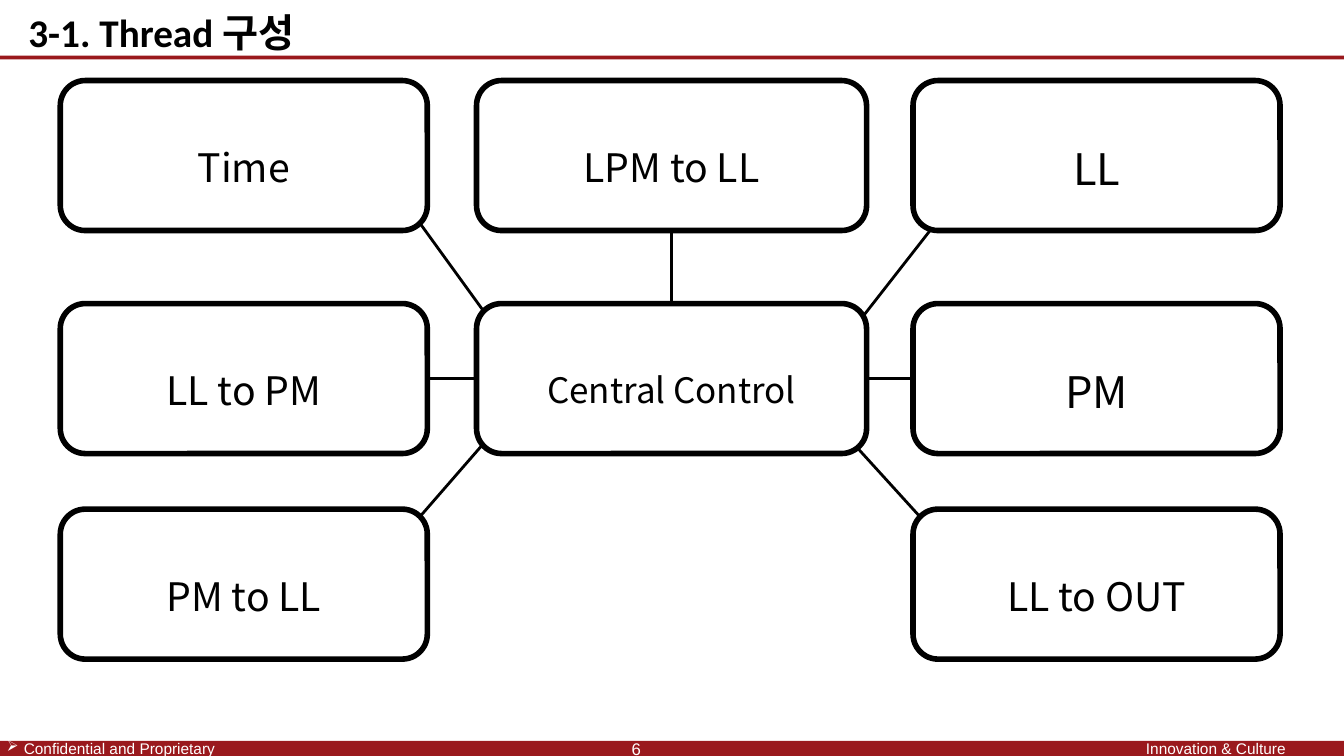
import pptx
import pptx.dml.color
import pptx.enum.shapes
import pptx.enum.text
import pptx.oxml
import pptx.oxml.ns
import pptx.util
from pptx.util import Cm

BLACK = pptx.dml.color.RGBColor(0x00, 0x00, 0x00)
WHITE = pptx.dml.color.RGBColor(0xFF, 0xFF, 0xFF)
CRIMSON = pptx.dml.color.RGBColor(0x9A, 0x19, 0x1D)

SHAPES = pptx.enum.shapes.MSO_SHAPE
ANCHOR = pptx.enum.text.MSO_ANCHOR
ALIGN = pptx.enum.text.PP_ALIGN
HANGUL_FONT = "Noto Sans CJK KR"

COLUMNS = [(1.52, 9.25), (12.01, 9.83), (23.01, 9.25)]
ROWS = [2.03, 7.65, 12.83]
ROW_HEIGHT = 3.78

THREADS = [
    ("Time", 0, 0, 28),
    ("LPM to LL", 1, 0, 28),
    ("LL", 2, 0, 31),
    ("LL to PM", 0, 1, 28),
    ("Central Control", 1, 1, 25),
    ("PM", 2, 1, 31),
    ("PM to LL", 0, 2, 28),
    ("LL to OUT", 2, 2, 28),
]
DIAGONALS = [
    (12.47, 8.23, 10.26, 5.18),
    (21.21, 8.66, 23.93, 5.18),
    (12.47, 10.85, 10.26, 13.39),
    (21.21, 10.85, 23.52, 13.39),
]
TOP, LEFT, BOTTOM, RIGHT = range(4)
SPOKES = [("LPM to LL", BOTTOM, TOP), ("LL to PM", RIGHT, LEFT), ("PM", LEFT, RIGHT)]


def write(frame, text, size, font="Arial", color=WHITE, bold=False,
          align=ALIGN.LEFT, anchor=ANCHOR.TOP, spacing=None):
    frame.word_wrap = True
    frame.auto_size = pptx.enum.text.MSO_AUTO_SIZE.NONE
    frame.vertical_anchor = anchor
    paragraph = frame.paragraphs[0]
    paragraph.alignment = align
    paragraph.line_spacing = spacing
    run = paragraph.add_run()
    run.text = text
    run.font.size = pptx.util.Pt(size)
    run.font.name = font
    run.font.bold = bold
    run.font.color.rgb = color
    east_asian = pptx.oxml.parse_xml(
        f'<a:ea {pptx.oxml.ns.nsdecls("a")} typeface="{HANGUL_FONT}"/>')
    run.font._element.find(pptx.oxml.ns.qn("a:latin")).addnext(east_asian)
    return paragraph


def add_title(slide, text):
    title = slide.shapes.title
    title.left, title.top, title.width, title.height = Cm(0), Cm(0.08), Cm(8.13), Cm(1.42)
    write(title.text_frame, text, 28, font="Calibri", color=BLACK, bold=True,
          align=ALIGN.CENTER)


def add_band(slide, top, height):
    band = slide.shapes.add_shape(SHAPES.RECTANGLE, Cm(0), Cm(top), Cm(33.87), Cm(height))
    band.shadow.inherit = False
    band.fill.solid()
    band.fill.fore_color.rgb = CRIMSON
    band.line.fill.background()


def add_footer(slide, text, left, top, width, size=11, inset=0.03):
    label = slide.shapes.add_textbox(Cm(left), Cm(top), Cm(width), Cm(0.53))
    label.text_frame.margin_top = label.text_frame.margin_bottom = Cm(inset)
    return write(label.text_frame, text, size)


def add_arrow_bullet(paragraph):
    properties = paragraph._p.get_or_add_pPr()
    properties.set("marL", str(Cm(0.43)))
    properties.set("indent", str(Cm(-0.43)))
    properties.append(pptx.oxml.parse_xml(
        f'<a:buChar {pptx.oxml.ns.nsdecls("a")} char="➢"/>'))


def add_thread(slide, name, column, row, size):
    left, width = COLUMNS[column]
    box = slide.shapes.add_shape(SHAPES.ROUNDED_RECTANGLE, Cm(left), Cm(ROWS[row]),
                                 Cm(width), Cm(ROW_HEIGHT))
    box.shadow.inherit = False
    box.fill.solid()
    box.fill.fore_color.rgb = WHITE
    box.line.color.rgb = BLACK
    box.line.width = pptx.util.Pt(4)
    write(box.text_frame, name, size, font=HANGUL_FONT, color=BLACK,
          align=ALIGN.CENTER, anchor=ANCHOR.MIDDLE, spacing=1.5)
    return box


def add_link(slide, x1=0, y1=0, x2=0, y2=0):
    link = slide.shapes.add_connector(pptx.enum.shapes.MSO_CONNECTOR.STRAIGHT,
                                      Cm(x1), Cm(y1), Cm(x2), Cm(y2))
    link.line.color.rgb = BLACK
    link.line.width = pptx.util.Pt(2)
    link._element.spPr.append(pptx.oxml.parse_xml(
        f'<a:effectLst {pptx.oxml.ns.nsdecls("a")}/>'))
    return link


def main():
    deck = pptx.Presentation()
    deck.slide_width, deck.slide_height = Cm(33.87), Cm(19.05)
    slide = deck.slides.add_slide(deck.slide_layouts.get_by_name("Title Only"))

    add_band(slide, 18.67, 0.4)
    add_band(slide, 1.4, 0.1)
    add_title(slide, "3-1. Thread 구성")
    add_arrow_bullet(add_footer(slide, "Confidential and Proprietary", -0.08, 18.59, 21.03))
    add_footer(slide, "Innovation & Culture", 28.63, 18.59, 6.83)
    add_footer(slide, "6", 15.67, 18.49, 7.34, size=12, inset=0.13)

    for ends in DIAGONALS:
        add_link(slide, *ends)
    boxes = {thread[0]: add_thread(slide, *thread) for thread in THREADS}
    for name, thread_side, central_side in SPOKES:
        spoke = add_link(slide)
        spoke.begin_connect(boxes[name], thread_side)
        spoke.end_connect(boxes["Central Control"], central_side)

    deck.save("out.pptx")


if __name__ == "__main__":
    main()
